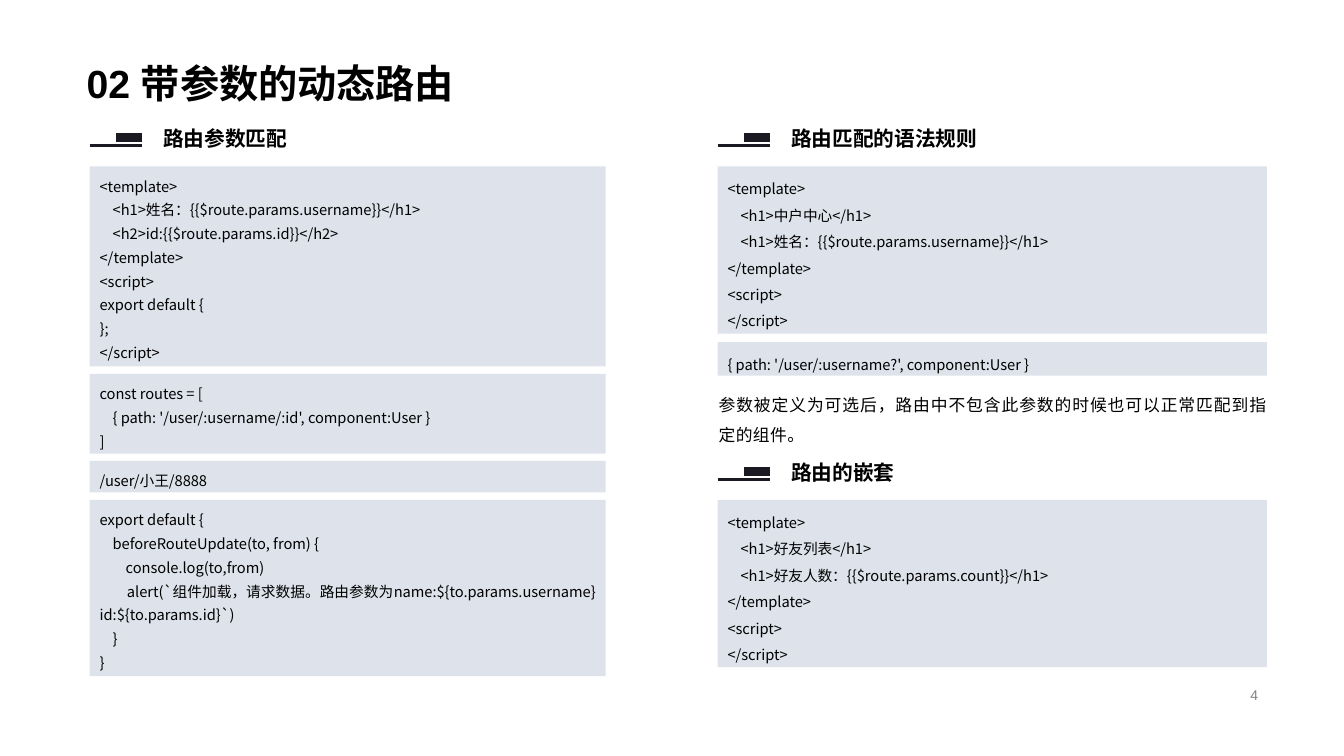
from lxml.etree import SubElement
from pptx import Presentation
from pptx.dml.color import RGBColor
from pptx.enum.shapes import MSO_CONNECTOR, MSO_SHAPE
from pptx.enum.text import MSO_ANCHOR as Anchor, MSO_AUTO_SIZE as AutoSize, PP_ALIGN as Align
from pptx.oxml.ns import qn
from pptx.util import Pt

BLACK = RGBColor(0x00, 0x00, 0x00)
GREY = RGBColor(0x80, 0x80, 0x80)
INK = RGBColor(0x1B, 0x1A, 0x22)
PANEL = RGBColor(0xDE, 0xE3, 0xEB)
SANS = "Arial"
CJK = "Noto Sans CJK SC"
LEFT, LEFT_WIDTH = 64.1, 368.6
RIGHT, RIGHT_WIDTH = 512.6, 392.4

deck = Presentation()
deck.slide_width, deck.slide_height = Pt(960), Pt(540)
page = deck.slides.add_slide(deck.slide_layouts[6])


def write(box, text, size, font=SANS, color=BLACK, bold=False, align=Align.LEFT,
          spacing=None, anchor=Anchor.TOP, wrap=True):
    frame = box.text_frame
    frame.text = text
    frame.word_wrap = wrap
    frame.vertical_anchor = anchor
    for para in frame.paragraphs:
        para.alignment = align
        para.line_spacing = spacing
        for span in para.runs:
            span.font.size = Pt(size)
            span.font.name = font
            span.font.bold = bold
            span.font.color.rgb = color
            SubElement(span.font._element, qn("a:ea"), typeface=CJK)


title = page.shapes.add_textbox(Pt(54.7), Pt(5.8), Pt(505.4), Pt(74.2))
write(title, "02 带参数的动态路由", 28, bold=True, spacing=0.9, anchor=Anchor.BOTTOM)

headings = [
    (LEFT, 86.4, "路由参数匹配"),
    (RIGHT, 86.4, "路由匹配的语法规则"),
    (RIGHT, 325, "路由的嵌套"),
]
for left, top, text in headings:
    heading = page.shapes.add_textbox(Pt(left + 45.4), Pt(top), Pt(249), Pt(24.5))
    write(heading, text, 14.8, bold=True, anchor=Anchor.MIDDLE, wrap=False)
    for indent, drop, weight in [(18.7, 11.7, 6), (0, 17.3, 2.25)]:
        y = Pt(top + drop)
        bar = page.shapes.add_connector(
            MSO_CONNECTOR.STRAIGHT, Pt(left + indent), y, Pt(left + 37.4), y)
        bar.line.color.rgb = INK
        bar.line.width = Pt(weight)
        SubElement(bar._element.spPr, qn("a:effectLst"))

left_panels = [
    (118.8, 142.9, """<template>
    <h1>姓名：{{$route.params.username}}</h1>
    <h2>id:{{$route.params.id}}</h2>
</template>
<script>
export default {
};
</script>"""),
    (267.1, 56.9, """const routes = [
    { path: '/user/:username/:id', component:User }
]"""),
    (329.2, 22.6, "/user/小王/8888"),
    (357.1, 125.9, """export default {
    beforeRouteUpdate(to, from) {
        console.log(to,from)
        alert(`组件加载，请求数据。路由参数为name:${to.params.username} id:${to.params.id}`)
    }
}"""),
]
right_panels = [
    (118.8, 119.5, """<template>
    <h1>中户中心</h1>
    <h1>姓名：{{$route.params.username}}</h1>
</template>
<script>
</script>"""),
    (244.3, 24, "{ path: '/user/:username?', component:User }"),
    (357.1, 119.5, """<template>
    <h1>好友列表</h1>
    <h1>好友人数：{{$route.params.count}}</h1>
</template>
<script>
</script>"""),
]
columns = [
    (LEFT, LEFT_WIDTH, 1.35, left_panels),
    (RIGHT, RIGHT_WIDTH, 1.5, right_panels),
]
for left, width, spacing, panels in columns:
    for top, height, code in panels:
        panel = page.shapes.add_shape(
            MSO_SHAPE.RECTANGLE, Pt(left), Pt(top), Pt(width), Pt(height))
        panel.shadow.inherit = False
        panel.fill.solid()
        panel.fill.fore_color.rgb = PANEL
        panel.line.fill.background()
        write(panel, code, 10.5, CJK, align=Align.JUSTIFY, spacing=spacing)
        panel.text_frame.auto_size = AutoSize.SHAPE_TO_FIT_TEXT

note = page.shapes.add_textbox(Pt(506.2), Pt(271.4), Pt(406), Pt(48.2))
write(note, "参数被定义为可选后，路由中不包含此参数的时候也可以正常匹配到指定的组件。",
      12, CJK, align=Align.JUSTIFY, spacing=1.5)
note.text_frame.auto_size = AutoSize.SHAPE_TO_FIT_TEXT
note.text_frame.paragraphs[0].runs[0].font._element.set("spc", "30")

page_number = page.shapes.add_textbox(Pt(678.2), Pt(488.2), Pt(227.5), Pt(16.6))
write(page_number, "4", 10, color=GREY, align=Align.RIGHT, anchor=Anchor.MIDDLE)

deck.save("out.pptx")
